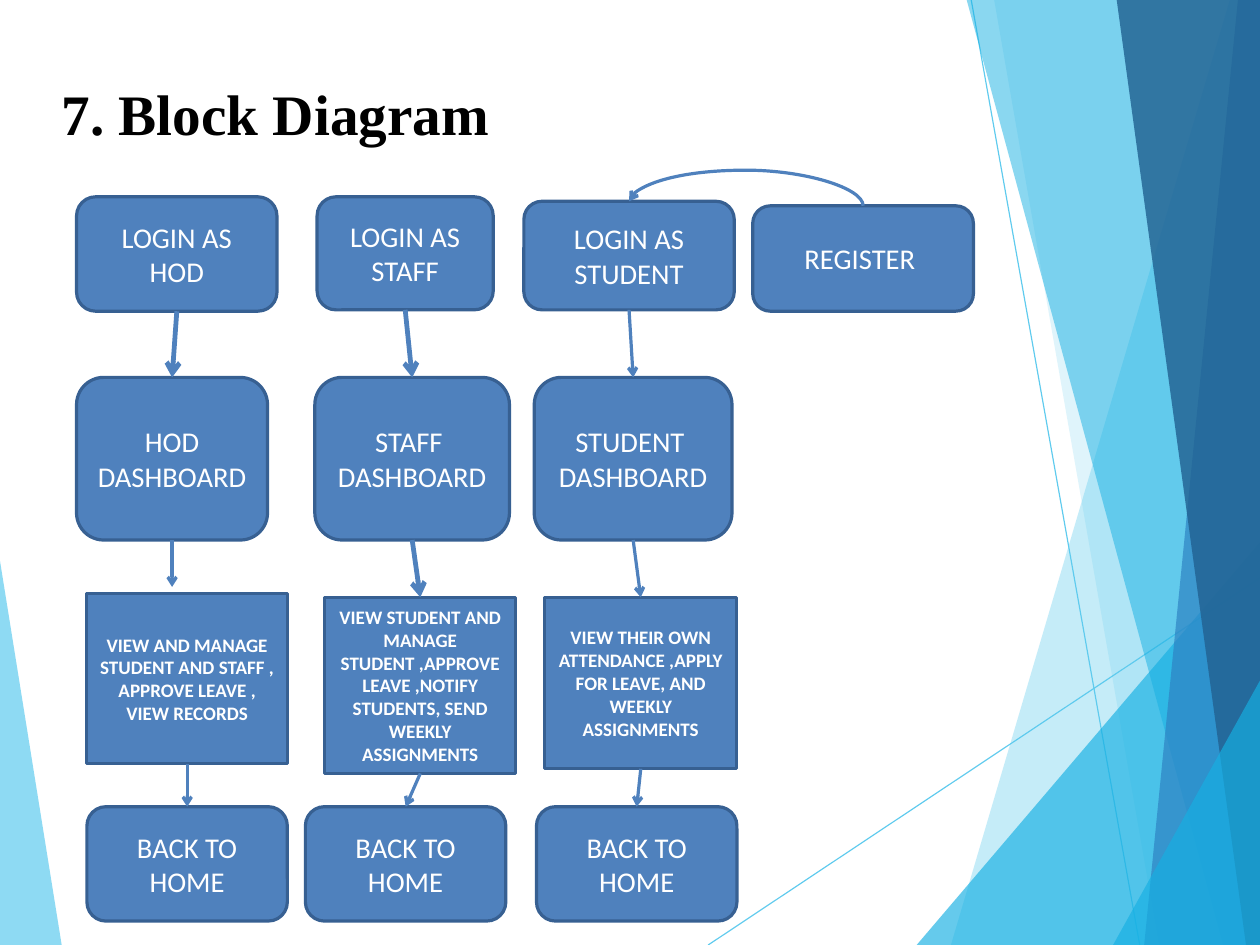
from dataclasses import dataclass

from lxml.etree import SubElement
from pptx import Presentation
from pptx.dml.color import RGBColor
from pptx.enum.shapes import MSO_CONNECTOR, MSO_SHAPE
from pptx.enum.text import MSO_ANCHOR, PP_ALIGN
from pptx.oxml.ns import qn
from pptx.util import Cm, Pt


@dataclass(frozen=True)
class Theme:
    block: str = "4F81BD"
    outline: str = "376092"
    block_text: str = "FFFFFF"
    title: str = "000000"
    sky: str = "5FCBEE"
    cyan: str = "16B0E3"
    blue: str = "2E83C3"
    navy: str = "226292"
    title_font: str = "Times New Roman"
    block_font: str = "Calibri"
    title_size: int = 36
    block_size: int = 18
    detail_size: int = 12
    hairline: float = 0.75
    thin: int = 2
    thick: int = 3


@dataclass(frozen=True)
class Box:
    left: float
    top: float
    width: float
    height: float

    def inner(self, left, top, width, height):
        return Box(self.left + left, self.top + top, width, height)

    def lengths(self):
        return Cm(self.left), Cm(self.top), Cm(self.width), Cm(self.height)


THEME = Theme()
PAGE = Box(0, 0, 27.97, 20.98)
TITLE = Box(1.37, 1.75, 10.82, 1.6)
DIAGRAM = Box(1.7, 4.37, 19.91, 16.08)


def rgb(colour):
    return RGBColor.from_string(colour)


def draw_polygon(page, box, points, colour, opacity):
    corners = [(Cm(box.left + x), Cm(box.top + y)) for x, y in points]
    builder = page.shapes.build_freeform(*corners[0], scale=1.0)
    builder.add_line_segments(corners[1:], close=True)
    shape = builder.convert_to_shape()
    shape.shadow.inherit = False
    shape.fill.solid()
    shape.fill.fore_color.rgb = rgb(colour)
    shape.line.fill.background()
    colour_element = shape.element.spPr.find(qn("a:solidFill"))[0]
    SubElement(colour_element, qn("a:alpha"), val=str(opacity * 1000))


def style_connector(connector, colour, width, arrow=True):
    connector.line.color.rgb = rgb(colour)
    connector.line.width = Pt(width)
    properties = connector.element.spPr
    if arrow:
        SubElement(properties.find(qn("a:ln")), qn("a:tailEnd"), type="arrow")
    SubElement(properties, qn("a:effectLst"))


def draw_backdrop(page, box):
    right, bottom = box.width, box.height
    draw_polygon(page, box, [(1.37, bottom), (0, bottom), (0, 12.45)], THEME.sky, 70)
    for ends in [(15.72, bottom, right, 12.83), (21.56, 0, 25.3, bottom)]:
        x1, y1, x2, y2 = ends
        line = page.shapes.add_connector(
            MSO_CONNECTOR.STRAIGHT,
            Cm(box.left + x1), Cm(box.top + y1), Cm(box.left + x2), Cm(box.top + y2))
        style_connector(line, THEME.sky, THEME.hairline, arrow=False)
    bands = [
        (21.11, 27.3, 0, THEME.sky, 36),
        (25.73, 22.07, 0, THEME.sky, 20),
        (20.35, right, 12.04, THEME.cyan, 66),
        (27.15, 21.46, 0, THEME.cyan, 50),
        (25.4, 27.48, 0, THEME.blue, 70),
        (27.66, 24.79, 0, THEME.navy, 82),
        (24.71, right, 15.11, THEME.cyan, 66),
    ]
    for foot, head, top, colour, opacity in bands:
        points = [(right, bottom), (foot, bottom), (head, top), (right, top)]
        draw_polygon(page, box, points, colour, opacity)


def draw_title(page, box, text):
    frame = page.shapes.add_textbox(*box.lengths()).text_frame
    frame.word_wrap = True
    frame.margin_left = frame.margin_top = frame.margin_right = frame.margin_bottom = 0
    paragraph = frame.paragraphs[0]
    paragraph.text = text
    paragraph.space_before = Pt(1)
    paragraph.font.name = THEME.title_font
    paragraph.font.size = Pt(THEME.title_size)
    paragraph.font.bold = True
    paragraph.font.color.rgb = rgb(THEME.title)


def draw_block(page, box, text, detail=False):
    preset = MSO_SHAPE.RECTANGLE if detail else MSO_SHAPE.ROUNDED_RECTANGLE
    block = page.shapes.add_shape(preset, *box.lengths())
    block.shadow.inherit = False
    block.fill.solid()
    block.fill.fore_color.rgb = rgb(THEME.block)
    block.line.color.rgb = rgb(THEME.outline)
    block.line.width = Pt(THEME.thin)
    frame = block.text_frame
    frame.word_wrap = True
    frame.vertical_anchor = MSO_ANCHOR.MIDDLE
    frame.text = text
    for paragraph in frame.paragraphs:
        paragraph.alignment = PP_ALIGN.CENTER
        paragraph.font.name = THEME.block_font
        paragraph.font.size = Pt(THEME.detail_size if detail else THEME.block_size)
        paragraph.font.bold = detail
        paragraph.font.color.rgb = rgb(THEME.block_text)
    return block


def draw_arrow(page, upper, lower, width, joined=True):
    middle = upper.left + upper.width // 2
    arrow = page.shapes.add_connector(
        MSO_CONNECTOR.STRAIGHT,
        middle, upper.top + upper.height, middle, lower.top - Cm(0.15))
    arrow.begin_connect(upper, 2)
    if joined:
        arrow.end_connect(lower, 0)
    style_connector(arrow, THEME.block, width)


def draw_arc(page, start, end, rise):
    arc = page.shapes.add_connector(
        MSO_CONNECTOR.CURVE, start.left, start.top, end.left, end.top)
    arc.begin_connect(start, 0)
    arc.end_connect(end, 0)
    start_x = start.left + start.width // 2
    end_x = end.left + end.width // 2
    drop, span = start.top - end.top, start_x - end_x
    arc.left = (start_x + end_x - drop) // 2
    arc.top = (start.top + end.top - span) // 2
    arc.width, arc.height = drop, span
    transform = arc.element.spPr.xfrm
    transform.rot, transform.flipH, transform.flipV = 270, False, True
    adjustments = arc.element.spPr.find(qn("a:prstGeom")).find(qn("a:avLst"))
    SubElement(adjustments, qn("a:gd"), name="adj1", fmla=f"val {100000 * rise // drop}")
    style_connector(arc, THEME.block, THEME.thin)


def draw_column(page, box, stages, weights, gap_stage=None):
    blocks = [
        draw_block(page, box.inner(*place), text, detail=index == 2)
        for index, (text, place) in enumerate(stages)
    ]
    for index, weight in enumerate(weights):
        draw_arrow(page, blocks[index], blocks[index + 1], weight, index != gap_stage)
    return blocks[0]


def draw_diagram(page, box):
    thin, thick = THEME.thin, THEME.thick
    dashboard_top, dashboard_height = 4.01, 3.61
    home_top, home_width, home_height = 13.54, 4.45, 2.54
    columns = [
        (0, "LOGIN AS HOD", (0, 0, 4.45, 2.54),
         "HOD DASHBOARD", 0, 4.24,
         "VIEW AND MANAGE STUDENT AND STAFF ,\nAPPROVE LEAVE , VIEW RECORDS",
         (0.23, 8.81, 4.45, 3.78), 0.23, (thick, thin, thin), 1),
        (5.08, "LOGIN AS STAFF", (0.26, 0, 3.91, 2.51),
         "STAFF \nDASHBOARD", 0.21, 4.32,
         "VIEW STUDENT AND MANAGE STUDENT ,APPROVE LEAVE ,NOTIFY STUDENTS, "
         "SEND WEEKLY ASSIGNMENTS",
         (0.43, 8.89, 4.24, 3.91), 0, (thick, thick, thin), None),
        (9.93, "LOGIN AS STUDENT", (0, 0.1, 4.67, 2.41),
         "STUDENT \nDASHBOARD", 0.23, 4.39,
         "VIEW THEIR OWN ATTENDANCE ,APPLY FOR LEAVE, AND WEEKLY ASSIGNMENTS",
         (0.46, 8.89, 4.27, 3.81), 0.28, (thin, thin, thin), None),
    ]
    for (left, login, login_place, dashboard, dashboard_left, dashboard_width,
         tasks, tasks_place, home_left, weights, gap_stage) in columns:
        stages = [
            (login, login_place),
            (dashboard, (dashboard_left, dashboard_top, dashboard_width, dashboard_height)),
            (tasks, tasks_place),
            ("BACK TO HOME", (home_left, home_top, home_width, home_height)),
        ]
        column = box.inner(left, 0, 4.9, box.height)
        student_login = draw_column(page, column, stages, weights, gap_stage)
    register = draw_block(page, box.inner(15.01, 0.2, 4.9, 2.34), "REGISTER ")
    draw_arc(page, register, student_login, Cm(0.79))


def main():
    deck = Presentation()
    deck.slide_width, deck.slide_height = Cm(PAGE.width), Cm(PAGE.height)
    page = deck.slides.add_slide(deck.slide_layouts[6])
    draw_backdrop(page, PAGE)
    draw_title(page, TITLE, "7. Block Diagram")
    draw_diagram(page, DIAGRAM)
    deck.save("out.pptx")


if __name__ == "__main__":
    main()
